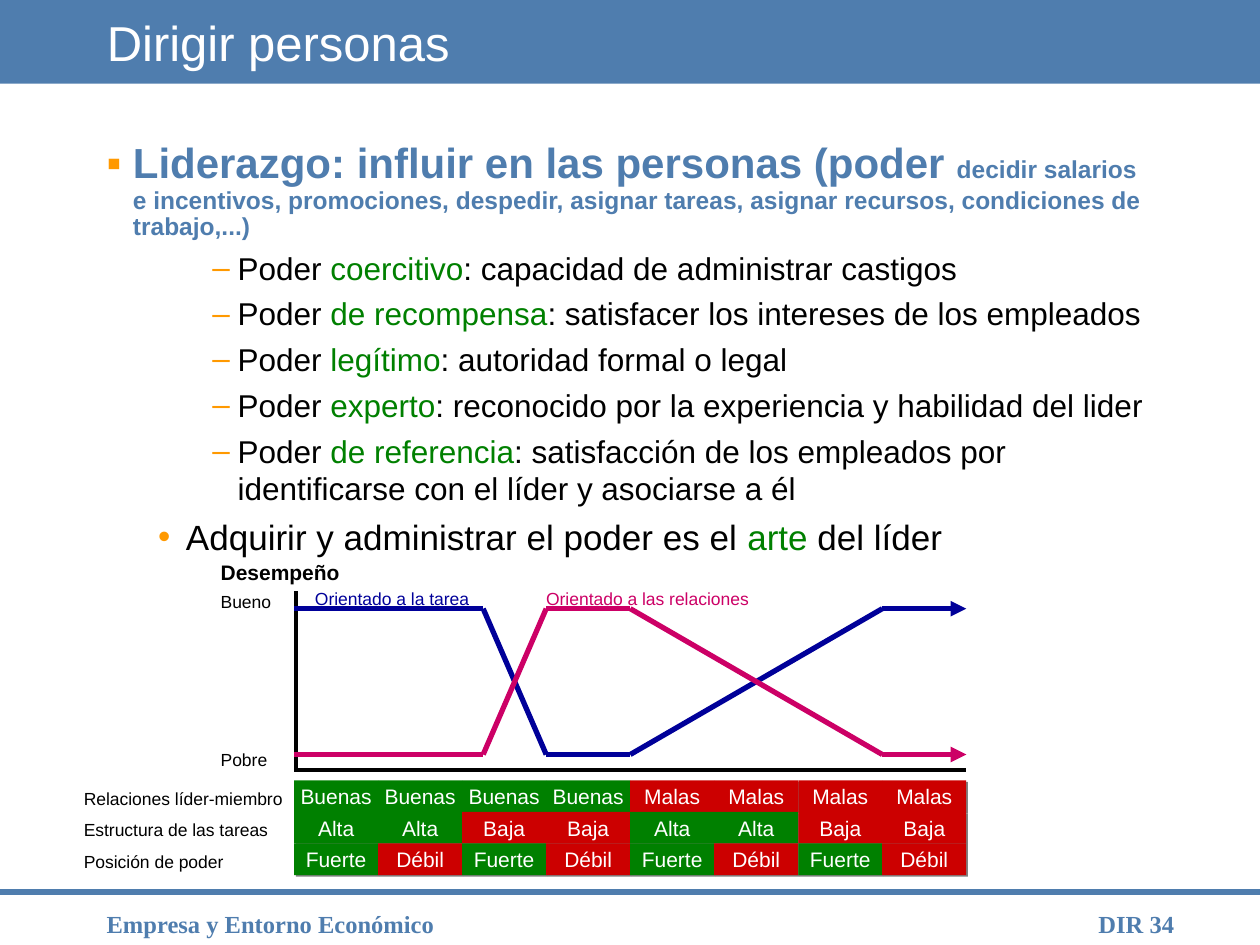
from collections import namedtuple

from lxml import etree
from pptx import Presentation
from pptx.dml.color import RGBColor
from pptx.enum.shapes import MSO_CONNECTOR, MSO_SHAPE
from pptx.enum.text import MSO_ANCHOR, MSO_AUTO_SIZE, PP_ALIGN
from pptx.oxml.ns import qn
from pptx.util import Cm, Pt

STRAIGHT = MSO_CONNECTOR.STRAIGHT
RECTANGLE = MSO_SHAPE.RECTANGLE
MIDDLE = MSO_ANCHOR.MIDDLE
FIT_SHAPE = MSO_AUTO_SIZE.SHAPE_TO_FIT_TEXT
LEFT, CENTER, RIGHT = PP_ALIGN.LEFT, PP_ALIGN.CENTER, PP_ALIGN.RIGHT

STEEL = RGBColor(0x4F, 0x7D, 0xAE)
ORANGE = RGBColor(0xFF, 0x99, 0x00)
GREEN = RGBColor(0x00, 0x80, 0x00)
RED = RGBColor(0xCC, 0x00, 0x00)
NAVY = RGBColor(0x00, 0x00, 0x99)
MAGENTA = RGBColor(0xCC, 0x00, 0x66)
GRAY = RGBColor(0x80, 0x80, 0x80)
BLACK = RGBColor(0x00, 0x00, 0x00)
WHITE = RGBColor(0xFF, 0xFF, 0xFF)

Box = namedtuple("Box", "left top width height")
Level = namedtuple("Level", "depth margin indent before bullet size")

HEADING = Level(0, 0.53, -0.53, 3.5, "▪", 24)
POINT = Level(1, 1.6, -0.56, 5, "•", 20)
DETAIL = Level(2, 2.64, -0.51, 4.5, "–", 18)

POWERS = [
    ("coercitivo", ": capacidad de administrar castigos"),
    ("de recompensa", ": satisfacer los intereses de los empleados"),
    ("legítimo", ": autoridad formal o legal"),
    ("experto", ": reconocido por la experiencia y habilidad del lider"),
    ("de referencia", ": satisfacción de los empleados por identificarse con el líder y asociarse a él"),
]
FACTORS = [
    ("Relaciones líder-miembro", "Buenas", "Malas", 4),
    ("Estructura de las tareas", "Alta", "Baja", 2),
    ("Posición de poder", "Fuerte", "Débil", 1),
]
SITUATIONS = 8
TURNS = [0, 2.25, 3, 4, 7, 8]


def format_span(span, size, color, bold=False, font="Arial"):
    """Set the font of one run."""
    span.font.name = font
    span.font.size = Pt(size)
    span.font.bold = bold
    span.font.color.rgb = color


def add_rectangle(page, box, color):
    """Add a filled rectangle without outline or shadow."""
    shape = page.shapes.add_shape(RECTANGLE, *map(Cm, box))
    shape.shadow.inherit = False
    shape.fill.solid()
    shape.fill.fore_color.rgb = color
    shape.line.fill.background()
    return shape


def add_line(page, start, end, color, width, arrow=False):
    """Add a straight line between two points, with an optional arrowhead."""
    line = page.shapes.add_connector(STRAIGHT, *map(Cm, (*start, *end)))
    line.line.color.rgb = color
    line.line.width = Pt(width)
    if arrow:
        etree.SubElement(line.line._get_or_add_ln(), qn("a:tailEnd"), type="triangle")
    etree.SubElement(line.element.spPr, qn("a:effectLst"))


def add_label(page, box, text, size=10, color=BLACK, bold=False):
    """Add a one-line label without margins."""
    frame = page.shapes.add_textbox(*map(Cm, box)).text_frame
    frame.word_wrap = False
    frame.auto_size = FIT_SHAPE
    frame.margin_left = frame.margin_top = frame.margin_right = frame.margin_bottom = 0
    frame.text = text
    format_span(frame.paragraphs[0].runs[0], size, color, bold)


def add_header(page, box):
    """Place the title on its coloured band."""
    title = page.shapes.title
    band = add_rectangle(page, box, STEEL)
    title.element.addprevious(band.element)
    title.left, title.top = Cm(box.left + 1.9), Cm(box.top)
    title.width, title.height = Cm(box.width - 3.8), Cm(box.height)
    title.text_frame.text = "Dirigir personas"
    title.text_frame.vertical_anchor = MIDDLE
    para = title.text_frame.paragraphs[0]
    para.alignment = LEFT
    format_span(para.runs[0], 28, WHITE)


def add_footer(page, box):
    """Place the rule, the course name and the page mark."""
    add_line(page, (box.left, box.top), (box.left + box.width, box.top), STEEL, 3)
    marks = [("Empresa y Entorno Económico", 1.9, 11.86, LEFT), ("DIR 34", 21.3, 2.62, RIGHT)]
    for text, offset, width, alignment in marks:
        place = Box(box.left + offset, box.top + 0.23, width, 0.64)
        frame = page.shapes.add_textbox(*map(Cm, place)).text_frame
        frame.word_wrap = True
        frame.text = text
        para = frame.paragraphs[0]
        para.alignment = alignment
        format_span(para.runs[0], 14, STEEL, True, "Times New Roman")


def format_bullet(para, level):
    """Set the indent, spacing and bullet of a list paragraph."""
    para.level = level.depth
    para.space_before = Pt(level.before)
    properties = para._p.get_or_add_pPr()
    properties.set("marL", str(Cm(level.margin)))
    properties.set("indent", str(Cm(level.indent)))
    tint = etree.SubElement(properties, qn("a:buClr"))
    etree.SubElement(tint, qn("a:srgbClr"), val=str(ORANGE))
    etree.SubElement(properties, qn("a:buFont"), typeface="Arial")
    etree.SubElement(properties, qn("a:buChar"), char=level.bullet)


def add_outline(page, box):
    """Place the bulleted list on leadership and power."""
    frame = page.shapes.add_textbox(*map(Cm, box)).text_frame
    frame.word_wrap = True
    heading = frame.paragraphs[0]
    heading.line_spacing = 0.9
    format_bullet(heading, HEADING)
    pieces = [
        ("Liderazgo: influir en las personas (poder ", HEADING.size),
        ("decidir salarios e incentivos, promociones, despedir, asignar tareas, "
         "asignar recursos, condiciones de trabajo,...)", 14),
    ]
    for text, size in pieces:
        span = heading.add_run()
        span.text = text
        format_span(span, size, STEEL, True)
    items = [(DETAIL, "Poder ", name, meaning) for name, meaning in POWERS]
    items.append((POINT, "Adquirir y administrar el poder es el ", "arte", " del líder"))
    for level, *texts in items:
        para = frame.add_paragraph()
        format_bullet(para, level)
        for text, color in zip(texts, (BLACK, GREEN, BLACK)):
            span = para.add_run()
            span.text = text
            format_span(span, level.size, color)


def add_performance_graph(page, box):
    """Place the axes, the two style curves and their labels."""
    bottom = box.top + box.height
    high, low = box.top + 0.41, box.top + 3.35
    step = box.width / SITUATIONS
    add_line(page, (box.left, bottom), (box.left + box.width, bottom), BLACK, 2.25)
    add_line(page, (box.left + 0.04, bottom), (box.left + 0.04, box.top + 0.05), BLACK, 2.25)
    add_label(page, Box(box.left - 1.48, box.top - 0.58, 2.5, 0.51), "Desempeño", 12, bold=True)
    add_label(page, Box(box.left - 1.48, box.top + 0.05, 1.1, 0.43), "Bueno")
    add_label(page, Box(box.left - 1.48, box.top + 3.23, 1.1, 0.43), "Pobre")
    curves = [
        (NAVY, [high, high, low, low, high, high], "Orientado a la tarea", 0.42, 3.3),
        (MAGENTA, [low, low, high, high, low, low], "Orientado a las relaciones", 5.08, 4.3),
    ]
    for color, heights, *_ in curves:
        points = [(box.left + turn * step, height) for turn, height in zip(TURNS, heights)]
        for start, end in zip(points, points[1:]):
            add_line(page, start, end, color, 3, arrow=end == points[-1])
    for color, _, text, offset, width in curves:
        add_label(page, Box(box.left + offset, box.top, width, 0.43), text, color=color)


def add_cell(page, box, text, color):
    """Add one situation cell with a small grey shadow."""
    cell = add_rectangle(page, box, color)
    effects = cell.element.spPr.find(qn("a:effectLst"))
    shadow = etree.SubElement(effects, qn("a:outerShdw"), dist=str(Pt(1.4)), dir="2700000", algn="ctr")
    etree.SubElement(shadow, qn("a:srgbClr"), val=str(GRAY))
    frame = cell.text_frame
    frame.word_wrap = False
    frame.vertical_anchor = MIDDLE
    frame.text = text
    para = frame.paragraphs[0]
    para.alignment = CENTER
    format_span(para.runs[0], 12, WHITE)


def add_situation_grid(page, box, label_width):
    """Place the factor labels and the cells of the eight situations."""
    width = (box.width - label_width) / SITUATIONS
    height = box.height / len(FACTORS)
    for column in range(SITUATIONS):
        left = box.left + label_width + column * width
        for row, (_, favourable, adverse, run) in enumerate(FACTORS):
            good = column // run % 2 == 0
            place = Box(left, box.top + row * height, width, height)
            add_cell(page, place, favourable if good else adverse, GREEN if good else RED)
    for row, (name, *_) in enumerate(FACTORS):
        add_label(page, Box(box.left, box.top + row * height + 0.15, label_width, 0.43), name)


def main():
    """Build the slide and save the deck."""
    deck = Presentation()
    deck.slide_width, deck.slide_height = Cm(25.4), Cm(19.05)
    page = deck.slides.add_slide(deck.slide_layouts[5])
    add_header(page, Box(0, 0, 25.4, 1.69))
    add_footer(page, Box(0, 17.98, 25.4, 1.07))
    add_outline(page, Box(1.9, 2.75, 21.59, 14.39))
    add_situation_grid(page, Box(1.69, 15.73, 17.79, 1.91), 4.24)
    add_performance_graph(page, Box(5.93, 11.86, 13.55, 3.66))
    deck.save("out.pptx")


if __name__ == "__main__":
    main()
